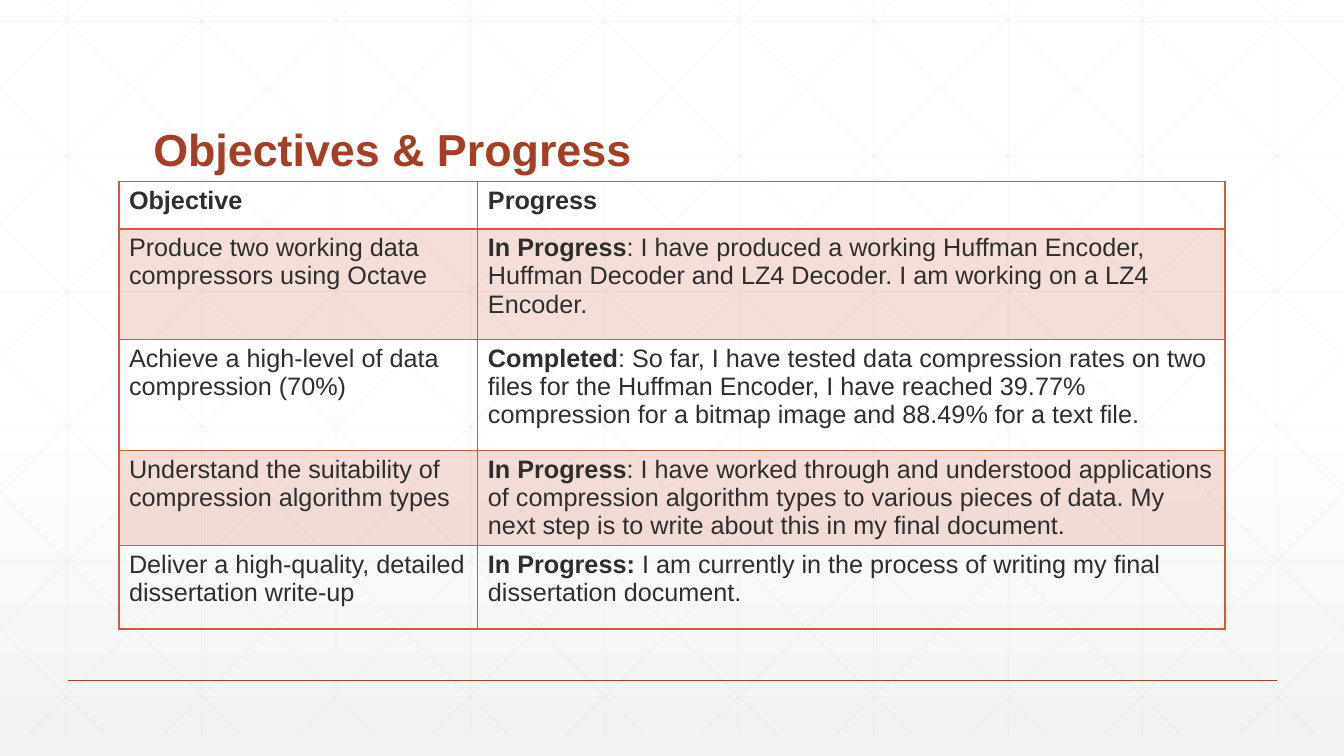
from copy import deepcopy
from dataclasses import dataclass
from lxml.etree import SubElement
from pptx import Presentation
from pptx.dml.color import RGBColor as Rgb
from pptx.enum.shapes import MSO_CONNECTOR as Link
from pptx.enum.text import MSO_ANCHOR as Anchor, MSO_AUTO_SIZE as Fit, PP_ALIGN as Align
from pptx.oxml.ns import qn
from pptx.util import Inches, Pt

TITLE = "Objectives & Progress"
ROWS = [
    (("Objective", ""), ("Progress", "")),
    (("", "Produce two working data compressors using Octave"),
     ("In Progress", ": I have produced a working Huffman Encoder, Huffman Decoder and LZ4 Decoder. "
      "I am working on a LZ4 Encoder.")),
    (("", "Achieve a high-level of data compression (70%)"),
     ("Completed", ": So far, I have tested data compression rates on two files for the Huffman "
      "Encoder, I have reached 39.77% compression for a bitmap image and 88.49% for a text file.")),
    (("", "Understand the suitability of compression algorithm types"),
     ("In Progress", ": I have worked through and understood applications of compression algorithm "
      "types to various pieces of data. My next step is to write about this in my final document.")),
    (("", "Deliver a high-quality, detailed dissertation write-up"),
     ("In Progress:", " I am currently in the process of writing my final dissertation document.")),
]
COLS = [3.56, 7.41]
HEIGHTS = [0.47, 1.1, 1.1, 0.94, 0.83]


@dataclass
class Theme:
    font: str = "Arial"
    head: str = "A43F27"
    edge: str = "D15A3E"
    text: str = "2D2E2D"
    grid: str = "D9D9D9"
    top: str = "FFFFFF"
    base: str = "F2F2F2"
    big: int = 32
    small: int = 18


LOOK = Theme()
WIDE, HIGH = 13.33, 7.5
TOP, END = -0.21, 7.29
STEP = 4 / 3
SLOPE = 7.5 / 7.46


def tint(node, pct):
    for color in node.iter(qn("a:srgbClr")):
        SubElement(color, qn("a:alpha"), val=str(pct * 1000))


def write(para, text, size=LOOK.small, color=LOOK.text, bold=False):
    run = para.add_run()
    run.text = text
    font = run.font
    font.name, font.size, font.bold = LOOK.font, Pt(size), bold
    font.color.rgb = Rgb.from_string(color)


def rule(shapes, start, end, color, width, alpha=None):
    line = shapes.add_connector(Link.STRAIGHT, *(Inches(v) for v in (*start, *end)))
    line.line.color.rgb = Rgb.from_string(color)
    line.line.width = Pt(width)
    props = line._element.spPr
    if alpha:
        tint(props, alpha)
    SubElement(props, qn("a:effectLst"))


def paint(slide):
    fill = slide.background.fill
    fill.gradient()
    fill.gradient_angle = 270
    first, last = fill.gradient_stops
    first.color.rgb = Rgb.from_string(LOOK.top)
    last.color.rgb = Rgb.from_string(LOOK.base)
    stops = slide._element.find(".//" + qn("a:gsLst"))
    stops[0].set("pos", "0")
    stops[1].set("pos", "100000")
    mid = deepcopy(stops[0])
    mid.set("pos", "53000")
    stops.insert(1, mid)


def mesh(slide):
    lines = [((x, TOP), (x, END)) for x in (STEP * (k + 0.5) for k in range(10))]
    lines += [((0, y), (WIDE, y)) for y in (0.21 + 1.34 * k for k in range(6))]
    for k in range(-5, 10):
        x = 0.25 + STEP * k
        left, right = max(0, x), min(WIDE, x + (END - TOP) / SLOPE)
        low, high = (TOP + SLOPE * (v - x) for v in (left, right))
        lines.append(((left, low), (right, high)))
        lines.append(((WIDE - left, low), (WIDE - right, high)))
    group = slide.shapes.add_group_shape()
    for start, end in lines:
        rule(group.shapes, start, end, LOOK.grid, 0.5, 25)


def head(slide):
    title = slide.shapes.title
    slide.shapes._spTree.append(title._element)
    title.left, title.top, title.width, title.height = map(Inches, (1.42, 0.55, 10.5, 1.25))
    frame = title.text_frame
    frame.auto_size = Fit.NONE
    frame.word_wrap = True
    frame.vertical_anchor = Anchor.BOTTOM
    para = frame.paragraphs[0]
    para.alignment = Align.LEFT
    para.line_spacing = 0.9
    write(para, TITLE, size=LOOK.big, color=LOOK.head, bold=True)


def frame_cell(cell, row):
    props = cell._tc.get_or_add_tcPr()
    thick = {"lnT": row == 1, "lnB": row == 0}
    for side in ("lnL", "lnR", "lnT", "lnB"):
        width = Pt(2 if thick.get(side) else 1)
        line = SubElement(props, qn("a:" + side), w=str(width))
        SubElement(SubElement(line, qn("a:solidFill")), qn("a:srgbClr"), val=LOOK.edge)
    if row % 2:
        cell.fill.solid()
        cell.fill.fore_color.rgb = Rgb.from_string(LOOK.edge)
        tint(props.find(qn("a:solidFill")), 20)
    else:
        cell.fill.background()


def grid(slide):
    box = map(Inches, (1.18, 1.8, sum(COLS), sum(HEIGHTS)))
    table = slide.shapes.add_table(len(ROWS), len(COLS), *box).table
    table.first_row = table.horz_banding = False
    for col, width in zip(table.columns, COLS):
        col.width = Inches(width)
    for r, (row, high) in enumerate(zip(ROWS, HEIGHTS)):
        table.rows[r].height = Inches(high)
        for c, (strong, plain) in enumerate(row):
            cell = table.cell(r, c)
            frame_cell(cell, r)
            para = cell.text_frame.paragraphs[0]
            for text, bold in ((strong, True), (plain, False)):
                if text:
                    write(para, text, bold=bold)


def main():
    deck = Presentation()
    deck.slide_width, deck.slide_height = Inches(WIDE), Inches(HIGH)
    slide = deck.slides.add_slide(deck.slide_layouts[5])
    paint(slide)
    mesh(slide)
    rule(slide.shapes, (0.67, 6.75), (12.67, 6.75), LOOK.head, 1)
    head(slide)
    grid(slide)
    deck.save("out.pptx")


if __name__ == "__main__":
    main()
